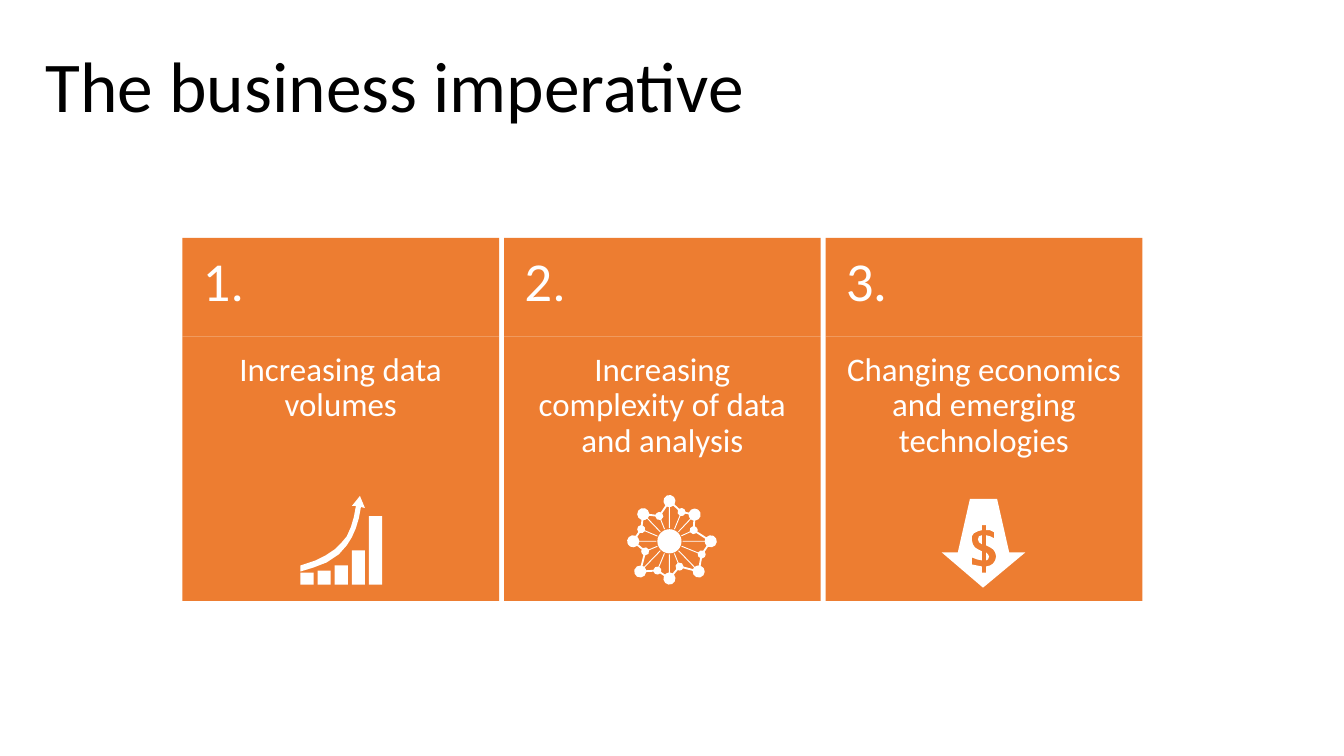
from math import asin, atan2, cos, dist, pi, sin, tau
from itertools import chain

from pptx import Presentation
from pptx.dml.color import RGBColor
from pptx.enum.shapes import MSO_SHAPE
from pptx.enum.text import MSO_ANCHOR, MSO_AUTO_SIZE, PP_ALIGN
from pptx.util import Inches, Pt

RECT = MSO_SHAPE.RECTANGLE
TOP = MSO_ANCHOR.TOP
LEFT, CENTER = PP_ALIGN.LEFT, PP_ALIGN.CENTER
NO_FIT = MSO_AUTO_SIZE.NONE

COLORS = {"card": "ED7D31", "light": "FFFFFF", "title": "000000"}
GRID_LEFT, GRID_TOP = 1.81, 2.36
COLUMN, CARD_W = 3.19, 3.14
HEAD_H, BODY_H = 0.98, 2.62
TITLE_ONLY = 5
UNIT = Inches(0.01)  # icon coordinates are hundredths of an inch
FINE = 100  # outline steps per icon unit

CARDS = [
    ([("1", "Calibri"), (".", "Roboto")], "Increasing data volumes"),
    ([("2", "Calibri"), (".", "Roboto")], "Increasing complexity of data and analysis"),
    ([("3.", "Calibri")], "Changing economics and emerging technologies"),
]

BAR_TOPS = [76, 74, 69, 54, 20]
BAR_W, BAR_STEP, BAR_BASE = 13, 17, 88
GROWTH_ARROW = [(59, 0), (51, 10), (55, 10), (53, 21), (50, 31), (46, 40), (41, 46),
                (34, 53), (25, 59), (15, 64), (0, 69), (0, 75), (13, 71), (26, 66),
                (38, 58), (46, 49), (51, 41), (55, 32), (58, 22), (60, 11), (64, 12)]

PRICE_ARROW = [
    [(83, 53), (41, 88), (0, 53), (16, 53), (28, 0), (55, 0), (67, 53)],
    [(40, 36), (40, 45), (37, 43), (36, 40), (37, 37)],
    [(44, 53), (44, 61), (46, 60), (47, 57), (46, 55)],
    [(54, 57), (53, 53), (51, 50), (48, 48), (44, 46), (44, 36), (48, 37), (52, 39),
     (52, 33), (48, 31), (44, 31), (44, 26), (40, 26), (40, 31), (36, 32), (32, 34),
     (30, 37), (30, 41), (31, 45), (33, 48), (36, 50), (40, 52), (40, 61), (35, 60),
     (30, 58), (30, 65), (35, 66), (40, 67), (40, 73), (44, 73), (44, 67), (48, 66),
     (51, 64), (53, 61)],
]

HUB, HUB_R, SPOKE_R, BIG_R, SMALL_R = (42, 46), 12, 13, 6, 4
LINK_HALF, SPOKE_HALF = 0.9, 0.45
BIG_NODES = [(42, 6), (67, 19.5), (83, 46), (71, 76), (42, 83), (13, 76), (6, 46), (16, 19)]
SMALL_NODES = [(54, 17), (66, 35), (74, 59), (52, 71), (30, 75), (18, 56), (14, 34), (32, 21)]


def paint(s, color):
    s.shadow.inherit = False
    s.fill.solid()
    s.fill.fore_color.rgb = RGBColor.from_string(COLORS[color])
    s.line.fill.background()


def write(s, runs, size, color, align, insets, after, spc=None):
    """Fill a shape with one paragraph of (text, font name) runs."""
    tf = s.text_frame
    frame = dict(zip(("margin_left", "margin_top", "margin_right", "margin_bottom"),
                     (Inches(v) for v in insets * 2)))
    frame.update(word_wrap=True, auto_size=NO_FIT, vertical_anchor=TOP)
    for name, value in frame.items():
        setattr(tf, name, value)
    p = tf.paragraphs[0]
    for name, value in dict(alignment=align, line_spacing=0.9, space_before=Pt(0),
                            space_after=Pt(after)).items():
        setattr(p, name, value)
    for text, font in runs:
        r = p.add_run()
        r.text = text
        r.font.name, r.font.size = font, Pt(size)
        r.font.color.rgb = RGBColor.from_string(COLORS[color])
        if spc:
            r.font._element.set("spc", str(spc))


def add_title(slide, text):
    s = slide.shapes.title
    s.left, s.top, s.width, s.height = (Inches(v) for v in (0.29, 0.4, 11.76, 1.1))
    write(s, [(text, "Calibri")], 50.98, "title", LEFT, (0.16, 0.1), 23.5)


def add_panel(slide, col, top, height, runs, **fmt):
    s = slide.shapes.add_shape(RECT, Inches(GRID_LEFT + col * COLUMN), Inches(top),
                               Inches(CARD_W), Inches(height))
    paint(s, "card")
    write(s, runs, color="light", insets=(0.2, 0.16), after=6, **fmt)


def icon_origin(col, dx, top):
    return Inches(GRID_LEFT + col * COLUMN + dx), Inches(top)


def add_outline(slide, origin, contours):
    """Draw closed contours as one shape; inner contours become holes."""
    first, *others = [[(x * FINE, y * FINE) for x, y in points] for points in contours]
    builder = slide.shapes.build_freeform(*first[0], scale=UNIT / FINE)
    builder.add_line_segments(first[1:])
    for points in others:
        builder.move_to(*points[0])
        builder.add_line_segments(points[1:])
    paint(builder.convert_to_shape(*origin), "light")


def arc(center, radius, start, sweep, steps):
    angles = [start + sweep * i / steps for i in range(steps + 1)]
    return [(center[0] + radius * cos(a), center[1] + radius * sin(a)) for a in angles]


def heading(start, end):
    return atan2(end[1] - start[1], end[0] - start[0])


def add_growth_icon(slide, origin):
    bars = []
    for i, top in enumerate(BAR_TOPS):
        x = i * BAR_STEP
        bars.append([(x, top), (x + BAR_W, top), (x + BAR_W, BAR_BASE), (x, BAR_BASE)])
    add_outline(slide, origin, bars + [GROWTH_ARROW])


def add_network_icon(slide, origin):
    """Trace the ring's outside, its inside with the spokes, and the hub."""
    ring = list(chain.from_iterable(zip(BIG_NODES, SMALL_NODES)))
    outside, inside = [], []
    for i, node in enumerate(ring):
        radius, steps = (SMALL_R, 3) if i % 2 else (BIG_R, 7)
        back = heading(node, ring[i - 1])
        ahead = heading(node, ring[(i + 1) % len(ring)])
        inward = heading(node, HUB)
        link, spoke = asin(LINK_HALF / radius), asin(SPOKE_HALF / radius)
        outside += arc(node, radius, back + link, (ahead - back) % tau - 2 * link, steps)
        tip = asin(SPOKE_HALF / SPOKE_R)
        inside += arc(node, radius, back - link, link + spoke - (back - inward) % tau, 2)
        inside += arc(HUB, SPOKE_R, inward + pi - tip, 2 * tip, 1)
        inside += arc(node, radius, inward - spoke, link + spoke - (inward - ahead) % tau, 2)
    hub = arc(HUB, HUB_R, 0, tau, 24)
    add_outline(slide, origin, [outside, inside, hub])


def main():
    prs = Presentation()
    prs.slide_width, prs.slide_height = Inches(13.33), Inches(7.5)
    slide = prs.slides.add_slide(prs.slide_layouts[TITLE_ONLY])
    add_title(slide, "The business imperative")
    for col, (number, text) in enumerate(CARDS):
        add_panel(slide, col, GRID_TOP, HEAD_H, number, size=39.2, align=LEFT, spc=-50)
        add_panel(slide, col, GRID_TOP + HEAD_H, BODY_H, [(text, "Calibri")],
                  size=23.5, align=CENTER)
    add_growth_icon(slide, icon_origin(0, 1.17, 4.92))
    add_network_icon(slide, icon_origin(1, 1.22, 4.91))
    add_outline(slide, icon_origin(2, 1.15, 4.95), PRICE_ARROW)
    prs.save("out.pptx")


if __name__ == "__main__":
    main()
